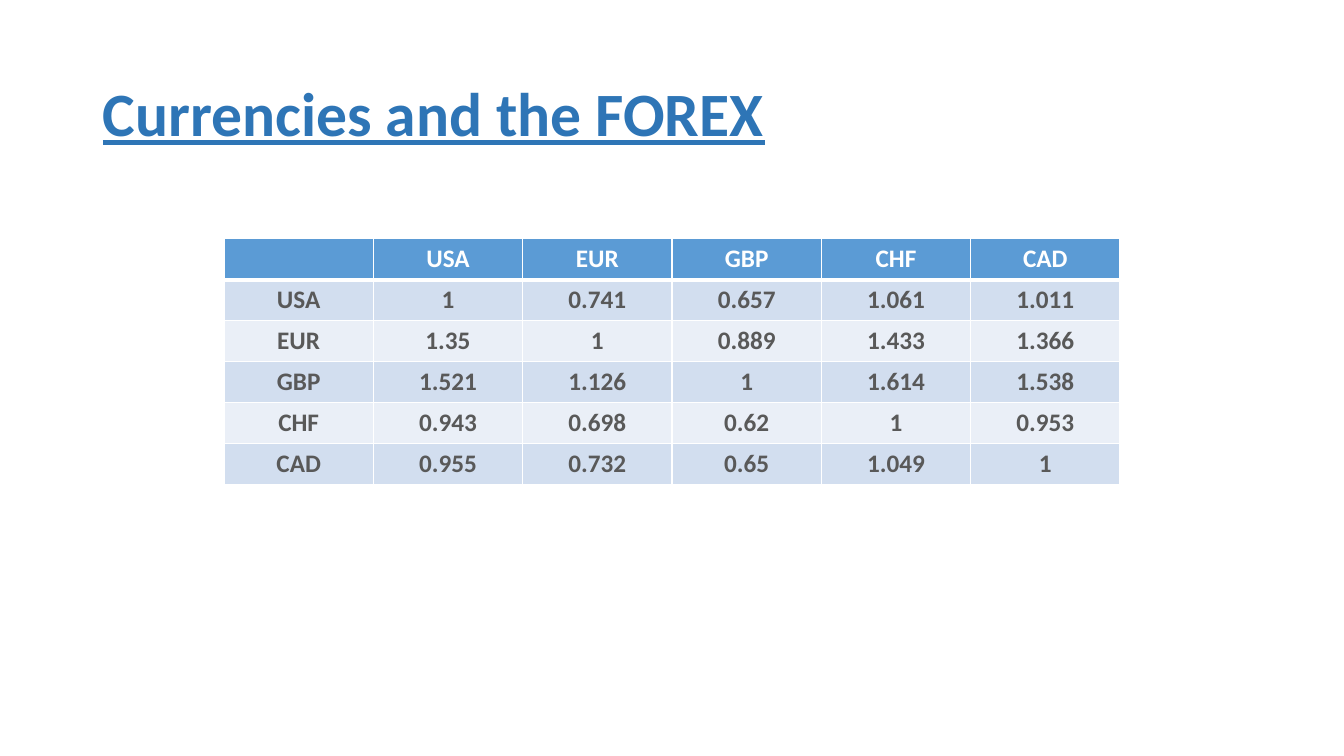
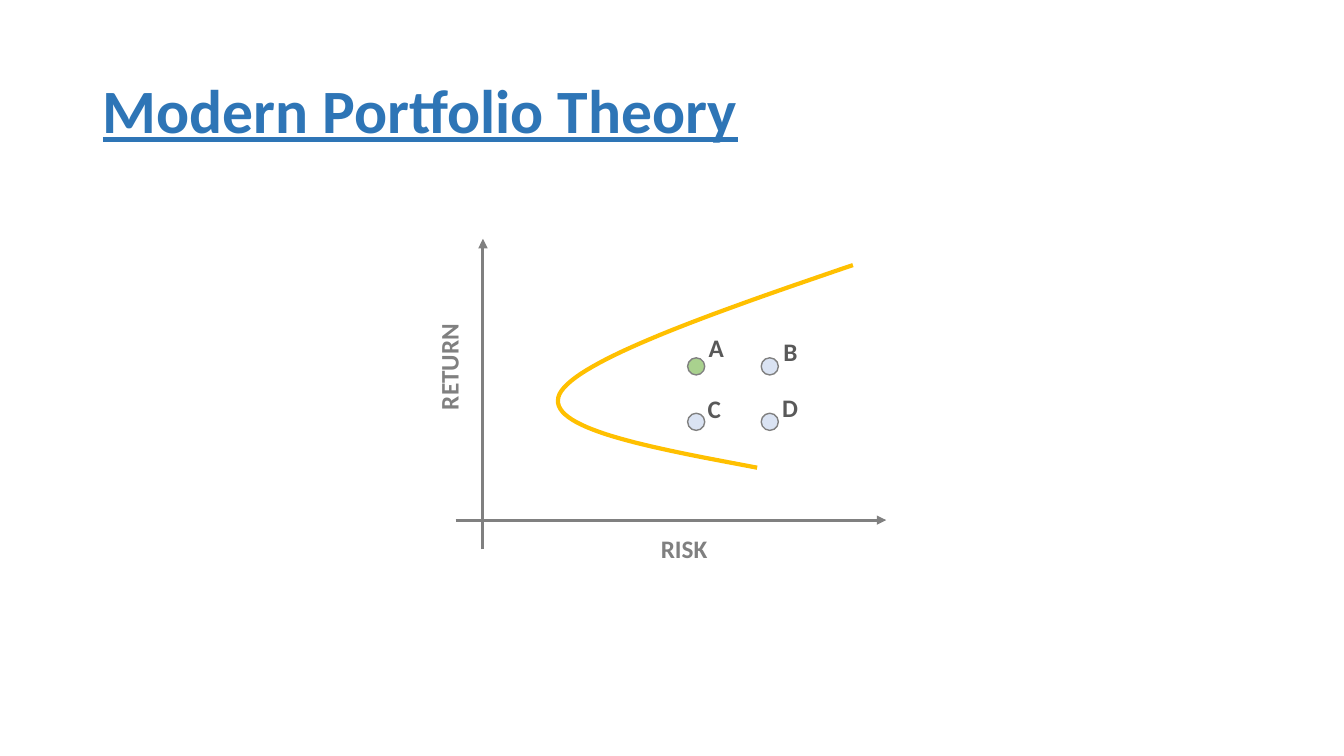
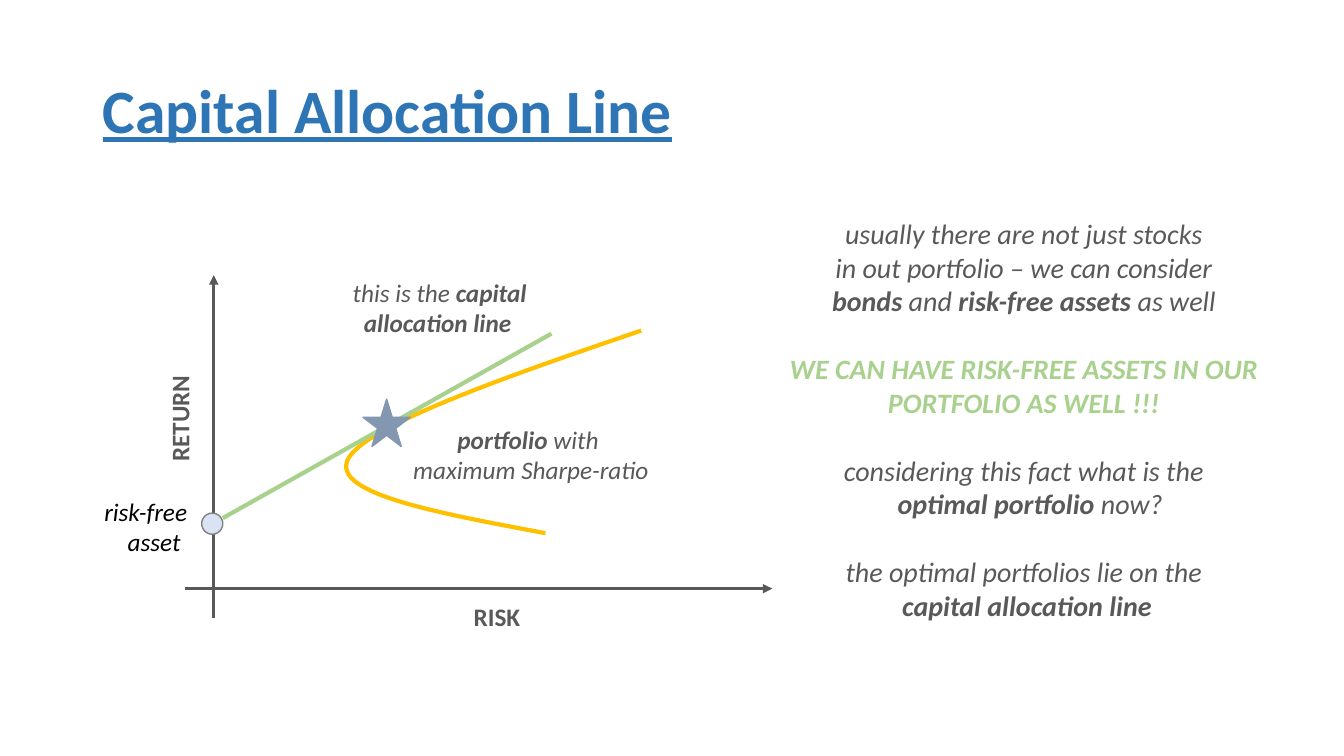
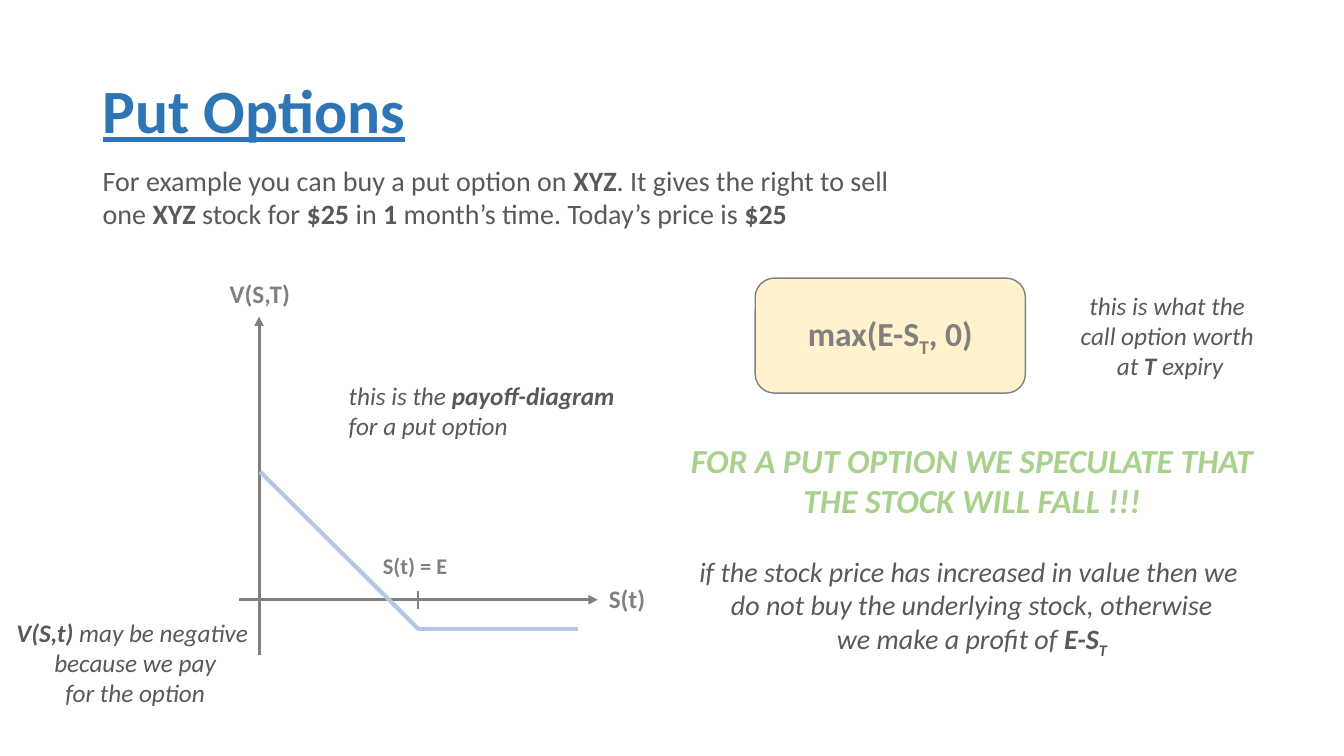
import pptx
import pptx.util
import pptx.dml.color
import pptx.enum.text
import pptx.enum.shapes
import pptx.oxml
import pptx.oxml.ns
import lxml.etree

Inches, Pt = pptx.util.Inches, pptx.util.Pt
SHAPE = pptx.enum.shapes.MSO_SHAPE
ALIGN = pptx.enum.text.PP_ALIGN
ANCHOR = pptx.enum.text.MSO_ANCHOR
AUTO_SIZE = pptx.enum.text.MSO_AUTO_SIZE

WIDTH, HEIGHT = 13.33, 7.5
FONT = "Calibri"
COLOURS = {
    "title": "2E75B6", "text": "595959", "axis": "808080", "black": "000000",
    "white": "FFFFFF", "header": "5B9BD5", "odd": "D2DEEF", "even": "EAEFF7",
    "frontier": "FFC000", "green": "A9D18E", "dot": "DAE3F3", "star": "8497B0",
    "formula": "FFF2CC", "payoff": "B4C7E7",
}

# Content: *...* is bold, ~...~ is subscript; a pair adds paragraph options
CURRENCIES = ["USA", "EUR", "GBP", "CHF", "CAD"]
RATES = [
    ["1", "0.741", "0.657", "1.061", "1.011"],
    ["1.35", "1", "0.889", "1.433", "1.366"],
    ["1.521", "1.126", "1", "1.614", "1.538"],
    ["0.943", "0.698", "0.62", "1", "0.953"],
    ["0.955", "0.732", "0.65", "1.049", "1"],
]
# Portfolio name, grid column, grid row, label left, label top, label width
PORTFOLIOS = [
    ("A", 0, 0, 6.93, 3.25, 0.35), ("B", 1, 0, 7.67, 3.29, 0.35),
    ("C", 0, 1, 6.92, 3.85, 0.34), ("D", 1, 1, 7.66, 3.84, 0.36),
]
BLANK_LINE = 24.4
ALLOCATION_NOTES = [
    "usually there are not just stocks",
    "in out portfolio – we can consider",
    "*bonds* and *risk-free assets* as well",
    ("*WE CAN HAVE RISK-FREE ASSETS IN OUR\nPORTFOLIO AS WELL !!!*",
     {"colour": "green", "before": BLANK_LINE}),
    ("considering this fact what is the", {"before": BLANK_LINE}),
    ("*optimal portfolio *now?", {"indent": 9}),
    ("the optimal portfolios lie on the", {"before": BLANK_LINE}),
    ("*capital allocation line *", {"indent": 9}),
]
PUT_INTRO = [
    "For example you can buy a put option on *XYZ*. It gives the right to sell",
    "one *XYZ* stock for *$25 *in *1* month’s time. Today’s price is *$25*",
]
PUT_SLOGAN = ["*FOR A PUT OPTION WE SPECULATE THAT*", "*THE STOCK WILL FALL !!!*"]
PUT_NOTES = [
    "if the stock price has increased in value then we ",
    "do not buy the underlying stock, otherwise",
    "we make a profit of *E-S~T~*",
]
# Efficient frontier: start point, then two Bezier segments, from its top left
FRONTIER_START = (2.93, 0)
FRONTIER_CURVES = [
    ((1.55, 0.47), (0.18, 0.95), (0.02, 1.28)),
    ((-0.14, 1.62), (0.92, 1.81), (1.98, 2.01)),
]
CURVE_STEPS = 32


def rgb(name):
    return pptx.dml.color.RGBColor.from_string(COLOURS[name])


def fill_text(frame, lines, size, colour, align=ALIGN.CENTER, italic=False):
    """Write marked-up lines as paragraphs."""
    for number, line in enumerate(lines):
        words, options = line if isinstance(line, tuple) else (line, {})
        para = frame.paragraphs[0] if number == 0 else frame.add_paragraph()
        para.alignment = align
        if "indent" in options:
            para._p.get_or_add_pPr().set("marL", str(Pt(options["indent"])))
        if "before" in options:
            para.space_before = Pt(options["before"])
        para.font.name, para.font.size = FONT, Pt(size)
        para.font.italic = italic
        para.font.color.rgb = rgb(options.get("colour", colour))
        for bold_index, part in enumerate(words.split("*")):
            for sub_index, piece in enumerate(part.split("~")):
                for row, text in enumerate(piece.split("\n")):
                    if row:
                        para.add_line_break()
                    if text:
                        span = para.add_run()
                        span.text = text
                        span.font.bold = bold_index % 2 == 1
                        if sub_index % 2:
                            span._r.get_or_add_rPr().set("baseline", "-25000")


def add_label(page, area, lines, size=18, colour="text", turn=0, **style):
    box = page.shapes.add_textbox(*map(Inches, area))
    box.rotation = turn
    box.text_frame.word_wrap = False
    box.text_frame.auto_size = AUTO_SIZE.SHAPE_TO_FIT_TEXT
    fill_text(box.text_frame, lines, size, colour, **style)


def add_line(page, start, end, colour, width, arrow=False):
    line = page.shapes.add_connector(
        pptx.enum.shapes.MSO_CONNECTOR.STRAIGHT, *map(Inches, start + end))
    line.line.color.rgb, line.line.width = rgb(colour), Pt(width)
    if arrow:
        lxml.etree.SubElement(line.line._get_or_add_ln(),
                              pptx.oxml.ns.qn("a:tailEnd"), type="triangle")
    lxml.etree.SubElement(line._element.spPr, pptx.oxml.ns.qn("a:effectLst"))


def add_axes(page, origin, left, right, top, bottom, colour):
    x, y = origin
    add_line(page, (x, bottom), (x, top), colour, 2.25, arrow=True)
    add_line(page, (left, y), (right, y), colour, 2.25, arrow=True)


def add_figure(page, kind, area, fill, outline="axis"):
    figure = page.shapes.add_shape(kind, *map(Inches, area))
    figure.shadow.inherit = False
    figure.fill.solid()
    figure.fill.fore_color.rgb = rgb(fill)
    figure.line.color.rgb, figure.line.width = rgb(outline), Pt(1)
    return figure


def add_frontier(page, left, top):
    """Draw the efficient frontier from points on its Bezier segments."""
    points, start = [FRONTIER_START], FRONTIER_START
    for first, second, end in FRONTIER_CURVES:
        corners = (start, first, second, end)
        for step in range(1, CURVE_STEPS + 1):
            t = step / CURVE_STEPS
            shares = ((1 - t) ** 3, 3 * t * (1 - t) ** 2, 3 * t * t * (1 - t), t ** 3)
            points.append(tuple(
                sum(share * corner[axis] for share, corner in zip(shares, corners))
                for axis in (0, 1)))
        start = end
    # The builder rounds to whole units, so points go in as EMU
    places = [(Inches(left + x), Inches(top + y)) for x, y in points]
    builder = page.shapes.build_freeform(*places[0])
    builder.add_line_segments(places[1:], close=False)
    curve = builder.convert_to_shape()
    curve.shadow.inherit = False
    curve.fill.background()
    curve.line.color.rgb, curve.line.width = rgb("frontier"), Pt(3)


def add_bottom_border(cell, colour, width):
    border = pptx.oxml.parse_xml(
        f'<a:lnB {pptx.oxml.ns.nsdecls("a")} w="{Pt(width)}"><a:solidFill>'
        f'<a:srgbClr val="{COLOURS[colour]}"/></a:solidFill></a:lnB>')
    cell._tc.get_or_add_tcPr().insert(0, border)


def add_page(deck, heading, top=0.4):
    page = deck.slides.add_slide(deck.slide_layouts[5])
    title = page.shapes.title
    title.left, title.top = Inches(0.92), Inches(top)
    title.width, title.height = Inches(11.5), Inches(1.45)
    title.text_frame.vertical_anchor = ANCHOR.MIDDLE
    fill_text(title.text_frame, [f"*{heading}*"], 44, "title", ALIGN.LEFT)
    para = title.text_frame.paragraphs[0]
    para.line_spacing = 0.9
    para.font.underline = True
    return page


def build_currencies(deck):
    page = add_page(deck, "Currencies and the FOREX", top=0.43)
    rows = [[""] + CURRENCIES]
    rows += [[name] + rates for name, rates in zip(CURRENCIES, RATES)]
    table_width = WIDTH * 2 / 3
    table = page.shapes.add_table(
        len(rows), len(rows[0]), Inches((WIDTH - table_width) / 2), Inches(2.37),
        Inches(table_width), Inches(2.43)).table
    for row, values in enumerate(rows):
        fill = "header" if row == 0 else ("odd" if row % 2 else "even")
        for column, value in enumerate(values):
            cell = table.cell(row, column)
            cell.fill.solid()
            cell.fill.fore_color.rgb = rgb(fill)
            if row == 0:
                add_bottom_border(cell, "white", 3)
            fill_text(cell.text_frame, [f"*{value}*"], 18,
                      "text" if row else "white")


def build_theory(deck):
    page = add_page(deck, "Modern Portfolio Theory")
    add_axes(page, (4.79, 5.16), 4.52, 8.79, 2.37, 5.45, "axis")
    add_label(page, (6.45, 5.24, 0.67, 0.4), ["*RISK*"], colour="axis")
    add_label(page, (3.92, 3.44, 1.06, 0.4), ["*RETURN*"], colour="axis", turn=270)
    add_frontier(page, 5.53, 2.63)
    for name, column, row, left, top, width in PORTFOLIOS:
        add_figure(page, SHAPE.OVAL,
                   (6.82 + 0.73 * column, 3.55 + 0.55 * row, 0.17, 0.17),
                   "green" if name == "A" else "dot")
        add_label(page, (left, top, width, 0.4), [f"*{name}*"], align=ALIGN.LEFT)


def build_allocation(deck):
    page = add_page(deck, "Capital Allocation Line")
    add_axes(page, (2.12, 5.84), 1.84, 7.66, 2.73, 6.13, "text")
    add_label(page, (4.6, 5.92, 0.67, 0.4), ["*RISK*"], align=ALIGN.LEFT)
    add_label(page, (1.25, 3.95, 1.06, 0.4), ["*RETURN*"], turn=270, align=ALIGN.LEFT)
    add_frontier(page, 3.43, 3.28)
    add_figure(page, SHAPE.OVAL, (2, 5.09, 0.21, 0.21), "dot")
    add_label(page, (0.92, 4.87, 1.05, 0.71),
              ["risk-free", ("asset", {"indent": 12})], colour="black", italic=True)
    add_label(page, (3.99, 4.16, 2.55, 0.71),
              ["*portfolio* with ", "maximum Sharpe-ratio"], italic=True)
    # Capital allocation line and its tangent portfolio
    add_line(page, (2.21, 5.14), (5.47, 3.31), "green", 3)
    add_figure(page, SHAPE.STAR_5_POINT, (3.6, 3.96, 0.47, 0.47), "star", "star")
    add_label(page, (3.4, 2.7, 1.94, 0.71),
              ["this is the *capital*", ("*allocation line*", {"indent": 8})],
              align=ALIGN.LEFT, italic=True)
    add_label(page, (7.71, 2.1, 4.89, 4.81), ALLOCATION_NOTES, size=20, italic=True)


def build_put_options(deck):
    page = add_page(deck, "Put Options")
    add_label(page, (0.92, 1.57, 8.2, 0.77), PUT_INTRO, size=20, align=ALIGN.LEFT)
    # Payoff diagram
    add_axes(page, (2.57, 5.95), 2.37, 5.93, 3.14, 6.5, "axis")
    add_line(page, (4.15, 6.04), (4.15, 5.86), "axis", 1.5)
    for words, size, area in [
        ("*V(S,T)*", 18, (2.18, 2.71, 0.8, 0.4)),
        ("*S(t)*", 18, (5.94, 5.74, 0.57, 0.4)),
        ("*S(t) = E*", 16, (3.7, 5.43, 0.9, 0.37)),
    ]:
        add_label(page, area, [words], size, "axis", align=ALIGN.LEFT)
    add_label(page, (3.36, 3.72, 2.97, 0.71),
              ["this is the *payoff-diagram*", "for a put option"],
              align=ALIGN.LEFT, italic=True)
    # Formula and remarks
    formula = add_figure(page, SHAPE.ROUNDED_RECTANGLE, (7.49, 2.76, 2.68, 1.14),
                         "formula")
    formula.text_frame.vertical_anchor = ANCHOR.MIDDLE
    fill_text(formula.text_frame, ["*max(E-S~T~, 0)*"], 24, "axis")
    add_label(page, (10.61, 2.83, 1.99, 1.01),
              ["this is what the ", "call option worth ", "at *T* expiry"], italic=True)
    add_label(page, (0.05, 6.07, 2.58, 1.01),
              ["*V(S,t)* may be negative ", "because we pay", "for the option"],
              italic=True)
    add_label(page, (6.73, 4.31, 5.82, 0.91), PUT_SLOGAN, 24, "green", italic=True)
    add_label(page, (6.82, 5.45, 5.64, 1.11), PUT_NOTES, 20, italic=True)
    for end in [(5.73, 6.24), (2.58, 4.68)]:
        add_line(page, (4.15, 6.24), end, "payoff", 3)


def main():
    deck = pptx.Presentation()
    deck.slide_width, deck.slide_height = Inches(WIDTH), Inches(HEIGHT)
    for build in (build_currencies, build_theory, build_allocation, build_put_options):
        build(deck)
    deck.save("out.pptx")


if __name__ == "__main__":
    main()
